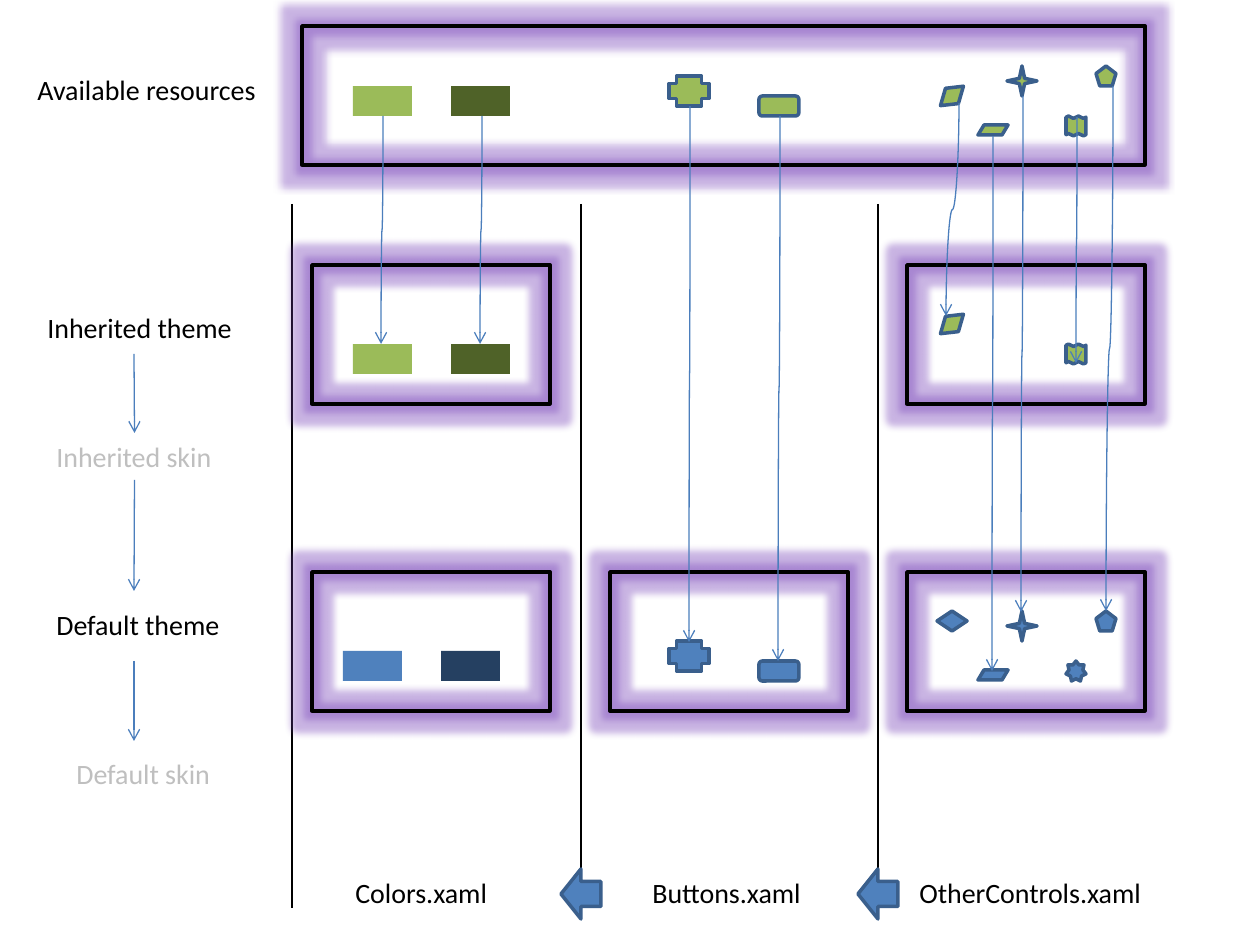
from lxml import etree
from pptx import Presentation
from pptx.dml.color import RGBColor
from pptx.enum.shapes import MSO_CONNECTOR, MSO_SHAPE
from pptx.enum.text import MSO_AUTO_SIZE
from pptx.oxml.ns import qn
from pptx.util import Emu, Pt

PX = 914400 / 126
LINE, CURVE = MSO_CONNECTOR.STRAIGHT, MSO_CONNECTOR.CURVE
RECT, ROUND, PLUS = MSO_SHAPE.RECTANGLE, MSO_SHAPE.ROUNDED_RECTANGLE, MSO_SHAPE.CROSS
DIAMOND, SLANT = MSO_SHAPE.FLOWCHART_DECISION, MSO_SHAPE.FLOWCHART_DATA
PENTAGON, WAVE = MSO_SHAPE.REGULAR_PENTAGON, MSO_SHAPE.DOUBLE_WAVE
STAR4, STAR7 = MSO_SHAPE.STAR_4_POINT, MSO_SHAPE.STAR_7_POINT
LEFT_ARROW = MSO_SHAPE.LEFT_ARROW
TOP_SIDE, BOTTOM_SIDE = 0, 2

COLORS = {
    "black": "000000", "muted": "BFBFBF", "glow": "7844B9",
    "blue": "4F81BD", "navy": "254061", "green": "9BBB59", "moss": "4F6228",
    "outline": "3A5F8C", "arrow": "4B7EBC",
}
SIZES = {
    RECT: (59, 30), ROUND: (40, 20), PLUS: (40, 30), DIAMOND: (30, 20),
    SLANT: (30, 10), PENTAGON: (20, 20), WAVE: (20, 20),
    STAR4: (30, 30), STAR7: (20, 20),
}
FRAME_W, FRAME_H = 238, 139
COL_COLORS, COL_BUTTONS, COL_CONTROLS = 312, 610, 907
ROW_AVAILABLE, ROW_INHERITED, ROW_DEFAULT = 26, 265, 572


def px(n):
    return Emu(round(n * PX))


def rgb(name):
    return RGBColor.from_string(COLORS[name])


def add_text(s, text, x, y, w, h=47, color="black", size=16, font="Calibri"):
    box = s.shapes.add_textbox(px(x), px(y), px(w), px(h))
    tf = box.text_frame
    tf.word_wrap = False
    tf.auto_size = MSO_AUTO_SIZE.SHAPE_TO_FIT_TEXT
    r = tf.paragraphs[0].add_run()
    r.text = text
    r.font.name, r.font.size = font, Pt(size)
    r.font.color.rgb = rgb(color)
    return box


def add_shape(s, kind, x, y, w, h, fill=None, line=None):
    sp = s.shapes.add_shape(kind, px(x), px(y), px(w), px(h))
    sp.shadow.inherit = False
    if fill:
        sp.fill.solid()
        sp.fill.fore_color.rgb = rgb(fill)
    else:
        sp.fill.background()
    if line:
        sp.line.color.rgb = rgb(line)
        sp.line.width = Pt(2)
    else:
        sp.line.fill.background()
    return sp


def add_line(s, x1, y1, x2, y2, color="arrow", kind=LINE, arrow=True):
    c = s.shapes.add_connector(kind, px(x1), px(y1), px(x2), px(y2))
    c.line.color.rgb = rgb(color)
    c.line.width = Pt(0.75)
    if arrow:
        etree.SubElement(c.line._get_or_add_ln(), qn("a:tailEnd"), type="arrow")
    etree.SubElement(c._element.spPr, qn("a:effectLst"))
    return c


def add_drop(s, x1, y1, x2, y2):
    """Vertical S-curve: a horizontal one turned a quarter about its centre."""
    cx, cy = (x1 + x2) / 2, (y1 + y2) / 2
    half_len, half_off = (y2 - y1) / 2, (x1 - x2) / 2
    c = add_line(s, cx - half_len, cy - half_off, cx + half_len, cy + half_off, kind=CURVE)
    c._element.spPr.find(qn("a:xfrm")).set("rot", "5400000")


def add_frame(s, x, y, parts, w=FRAME_W, h=FRAME_H):
    """Glowing frame; each part is (kind, dx, dy, fill) inside it."""
    sp = add_shape(s, RECT, x, y, w, h, line="black")
    effects = sp._element.spPr.find(qn("a:effectLst"))
    glow = etree.SubElement(effects, qn("a:glow"), rad=str(Pt(8)))
    clr = etree.SubElement(glow, qn("a:srgbClr"), val=COLORS["glow"])
    etree.SubElement(clr, qn("a:alpha"), val="40000")
    for kind, dx, dy, fill in parts:
        icon = add_shape(s, kind, x + dx, y + dy, *SIZES[kind], fill=fill,
                         line=None if kind == RECT else "outline")
        if kind == DIAMOND and fill == "green":
            icon.rotation = 319.8


def add_columns(s):
    # Column dividers
    for x in (292, 581, 878):
        add_line(s, x, 204, x, 908, color="black", arrow=False)
    # File names and the arrows between them
    for text, x, w in (("Colors.xaml", 343, 159), ("Buttons.xaml", 640, 176),
                       ("OtherControls.xaml", 907, 249)):
        add_text(s, text, x, 869, w)
    for x in (561, 858):
        add_shape(s, LEFT_ARROW, x, 869, 40, 50, "blue", "outline")


def add_lookup_order(s):
    add_text(s, "Available resources", 25, 66, 247)
    add_text(s, "Inherited theme", 35, 304, 212)
    skin = add_text(s, "Inherited skin", 44, 433, 181, color="muted")
    add_text(s, "Default theme", 44, 601, 190)
    add_text(s, "Default skin", 64, 750, 160, color="muted")
    # Arrows from each level to the next
    add_line(s, 134, 354, 135, 433).end_connect(skin, TOP_SIDE)
    add_line(s, 135, 480, 134, 591).begin_connect(skin, BOTTOM_SIDE)
    add_line(s, 134, 661, 134, 741)


def add_resources(s):
    # Available resources
    add_frame(s, 302, ROW_AVAILABLE, [
        (RECT, 51, 60, "green"), (RECT, 149, 60, "moss"),
        (PLUS, 367, 50, "green"), (ROUND, 457, 70, "green"),
        (DIAMOND, 635, 60, "green"), (WAVE, 764, 90, "green"),
        (SLANT, 676, 99, "green"), (PENTAGON, 794, 40, "green"),
        (STAR4, 705, 40, "green")], w=843)
    # Inherited theme
    add_frame(s, COL_COLORS, ROW_INHERITED,
              [(RECT, 41, 79, "green"), (RECT, 139, 79, "moss")])
    add_frame(s, COL_CONTROLS, ROW_INHERITED,
              [(DIAMOND, 30, 49, "green"), (WAVE, 159, 79, "green")])
    # Default theme
    add_frame(s, COL_COLORS, ROW_DEFAULT,
              [(RECT, 31, 79, "blue"), (RECT, 129, 79, "navy")])
    add_frame(s, COL_BUTTONS, ROW_DEFAULT,
              [(PLUS, 59, 69, "blue"), (ROUND, 149, 89, "blue")])
    add_frame(s, COL_CONTROLS, ROW_DEFAULT, [
        (DIAMOND, 30, 39, "blue"), (SLANT, 71, 98, "blue"),
        (PENTAGON, 189, 39, "blue"), (STAR4, 100, 39, "blue"),
        (STAR7, 159, 89, "blue")])
    # Where each available resource resolves
    for ends in ((383, 116, 381, 344), (482, 116, 480, 344),
                 (690, 106, 689, 642), (780, 116, 778, 661),
                 (959, 103, 946, 316), (993, 136, 992, 671),
                 (1023, 96, 1021, 612), (1077, 117, 1076, 363),
                 (1113, 86, 1106, 611)):
        add_drop(s, *ends)


def main():
    prs = Presentation()
    prs.slide_width, prs.slide_height = px(1260), px(945)
    s = prs.slides.add_slide(prs.slide_layouts[6])
    add_columns(s)
    add_lookup_order(s)
    add_resources(s)
    prs.save("out.pptx")


if __name__ == "__main__":
    main()
